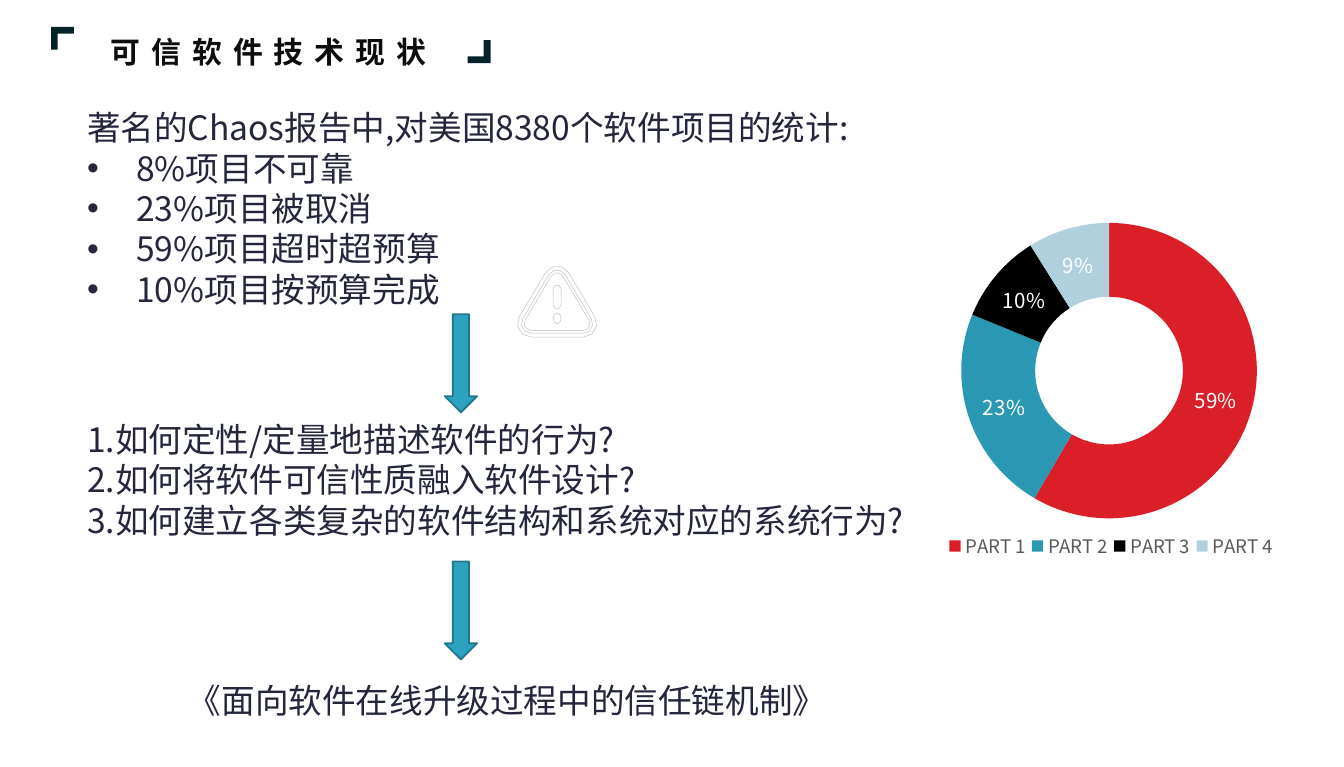
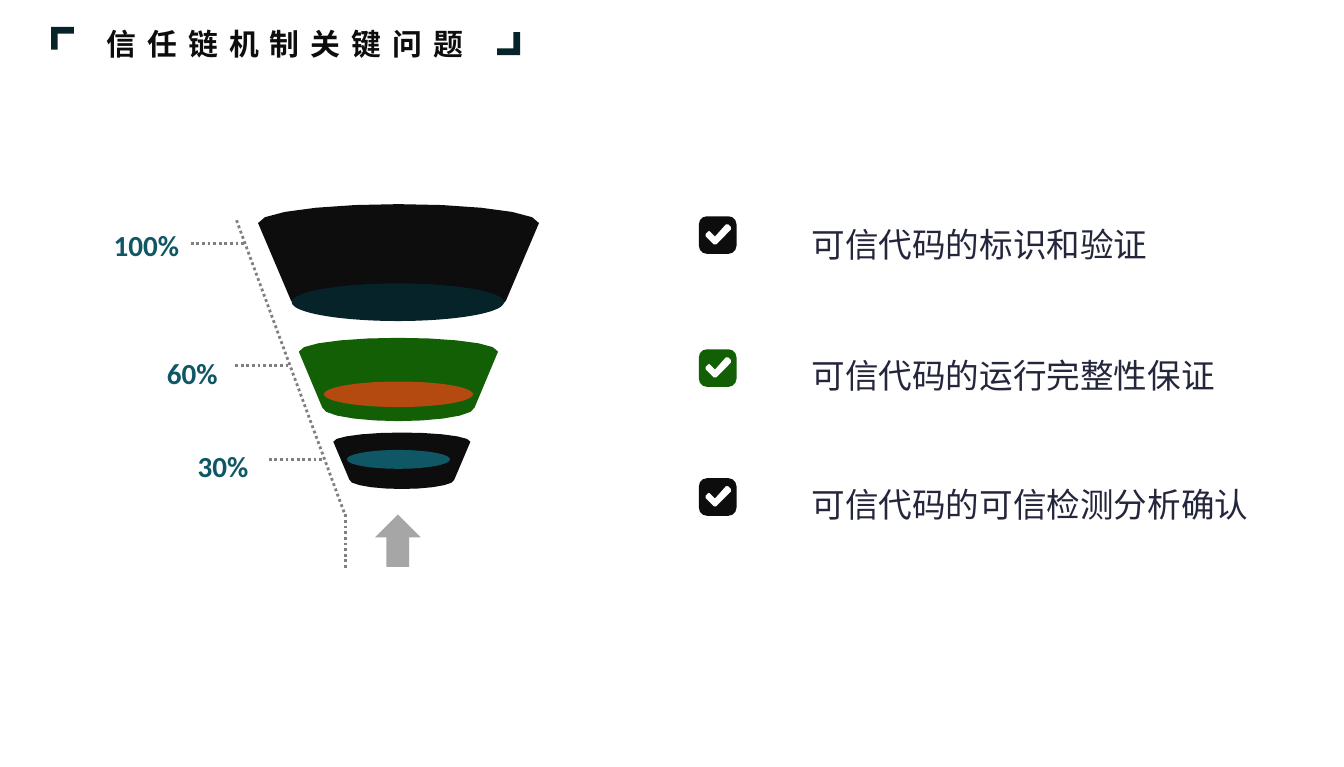
from math import cos, radians, sin

from lxml import etree
from pptx import Presentation
from pptx.chart.data import CategoryChartData
from pptx.dml.color import RGBColor
from pptx.enum.chart import XL_CHART_TYPE, XL_LEGEND_POSITION
from pptx.enum.dml import MSO_LINE
from pptx.enum.shapes import MSO_CONNECTOR, MSO_SHAPE
from pptx.enum.text import MSO_ANCHOR, MSO_AUTO_SIZE, PP_ALIGN
from pptx.oxml.ns import qn
from pptx.util import Inches, Pt

DOUGHNUT = XL_CHART_TYPE.DOUGHNUT
LEGEND_BOTTOM = XL_LEGEND_POSITION.BOTTOM
DOTTED = MSO_LINE.ROUND_DOT
STRAIGHT = MSO_CONNECTOR.STRAIGHT
DOWN_ARROW, UP_ARROW, ELLIPSE = MSO_SHAPE.DOWN_ARROW, MSO_SHAPE.UP_ARROW, MSO_SHAPE.OVAL
TOP = MSO_ANCHOR.TOP
NO_AUTOFIT = MSO_AUTO_SIZE.NONE
LEFT, CENTER = PP_ALIGN.LEFT, PP_ALIGN.CENTER

CJK_FONT, LATIN_FONT, CHART_FONT = "Noto Sans CJK JP", "Calibri", "Noto Sans CJK SC"
BLACK, INK, DARK_TEAL, TEAL = "0D0D0D", "24263C", "062329", "105766"
GREEN, ORANGE, WHITE, PALE_GREY = "125F05", "B54A10", "FFFFFF", "BFBFBF"
ARROW_BLUE, ARROW_EDGE, GREY, DOT_GREY = "2DA2BF", "21788D", "A6A6A6", "808080"

BRACKET = [(0, 0), (0.17, 0), (0.17, 0.05), (0.05, 0.05), (0.05, 0.17), (0, 0.17)]
TICK = [(0.24, 0.1), (0.24, 0.08), (0.22, 0.06), (0.2, 0.06), (0.12, 0.15), (0.08, 0.11),
        (0.07, 0.11), (0.05, 0.13), (0.05, 0.15), (0.11, 0.21), (0.13, 0.21)]


def color(value):
    return RGBColor.from_string(value)


def arc(x, y, radius_x, radius_y, start, end, steps):
    """Points from one angle to another, in degrees clockwise from the right."""
    angles = [radians(start + (end - start) * step / steps) for step in range(steps + 1)]
    return [(x + radius_x * cos(angle), y + radius_y * sin(angle)) for angle in angles]


def rounded_outline(corners, radius):
    """Join arcs of one radius; each corner is centre x, centre y, start and end angle."""
    return [point for x, y, start, end in corners
            for point in arc(x, y, radius, radius, start, end, 3)]


def move(points, x, y, scale=1):
    return [(x + scale * dx, y + scale * dy) for dx, dy in points]


class SlideBuilder:
    def __init__(self):
        self.deck = Presentation()
        self.deck.slide_width, self.deck.slide_height = Inches(10), Inches(5.71)
        self.page = None

    def new_page(self, title, x, y, bracket_end):
        """Add a slide with its title between two corner brackets."""
        self.page = self.deck.slides.add_slide(self.deck.slide_layouts[5])
        box = self.page.shapes.title
        box.left, box.top, box.width, box.height = map(Inches, (x, y, 4.06, 0.37))
        self.fill_text(box.text_frame, [title], 16, BLACK, bold=True, spacing=6)
        self.outline([move(BRACKET, *bracket_end, scale=-1)], DARK_TEAL)
        self.outline([move(BRACKET, 0.38, 0.2)], DARK_TEAL)

    def fill_text(self, frame, lines, size, ink, font=CJK_FONT, bold=False, align=LEFT,
                  wrap=True, spacing=0, line_spacing=None, bullets_from=None):
        frame.word_wrap = wrap
        frame.auto_size = NO_AUTOFIT
        frame.vertical_anchor = TOP
        for index, line in enumerate(lines):
            para = frame.paragraphs[0] if index == 0 else frame.add_paragraph()
            para.alignment = align
            if line_spacing:
                para.line_spacing = line_spacing
            if bullets_from is not None and index >= bullets_from:
                self.add_bullet(para)
            span = para.add_run()
            span.text = line
            span.font.name, span.font.size, span.font.bold = font, Pt(size), bold
            span.font.color.rgb = color(ink)
            properties = span.font._element
            etree.SubElement(properties, qn("a:ea")).set("typeface", font)
            if spacing:
                properties.set("spc", str(spacing * 100))

    def add_bullet(self, para):
        properties = para._p.get_or_add_pPr()
        properties.set("marL", str(Inches(0.31)))
        properties.set("indent", str(-Inches(0.31)))
        etree.SubElement(properties, qn("a:buFont")).set("typeface", "Arial")
        etree.SubElement(properties, qn("a:buChar")).set("char", "•")

    def text(self, place, lines, size=18, ink=INK, **style):
        box = self.page.shapes.add_textbox(*map(Inches, place))
        self.fill_text(box.text_frame, lines, size, ink, **style)

    def paint(self, shape, fill, line=None, width=1):
        shape.shadow.inherit = False
        shape.fill.solid()
        shape.fill.fore_color.rgb = color(fill)
        if line:
            shape.line.color.rgb = color(line)
            shape.line.width = Pt(width)
        else:
            shape.line.fill.background()

    def shape(self, kind, place, fill, line=None):
        self.paint(self.page.shapes.add_shape(kind, *map(Inches, place)), fill, line)

    def outline(self, contours, fill, line=None, width=1):
        """Draw closed contours as one shape; inner contours become holes."""
        builder = None
        for contour in contours:
            points = [(Inches(x), Inches(y)) for x, y in contour]
            if builder is None:
                builder = self.page.shapes.build_freeform(*points[0])
            else:
                builder.move_to(*points[0])
            builder.add_line_segments(points[1:], close=True)
        self.paint(builder.convert_to_shape(), fill, line, width)

    def dotted_line(self, start, end):
        line = self.page.shapes.add_connector(STRAIGHT, *map(Inches, start + end))
        line.line.color.rgb = color(DOT_GREY)
        line.line.width = Pt(1.5)
        line.line.dash_style = DOTTED
        etree.SubElement(line._element.spPr, qn("a:effectLst"))

    def style_font(self, font, size, ink, name=CHART_FONT):
        font.name, font.size = name, Pt(size)
        font.color.rgb = color(ink)

    def doughnut(self, place, values, colors, first_label):
        data = CategoryChartData()
        data.categories = [f"PART {number + 1}" for number in range(len(values))]
        data.add_series("Series 1", values)
        chart = self.page.shapes.add_chart(DOUGHNUT, *map(Inches, place), data).chart
        chart.has_title = False
        self.style_font(chart.font, 10, "000000", LATIN_FONT)
        chart.has_legend = True
        legend = chart.legend
        legend.position = LEGEND_BOTTOM
        legend.include_in_layout = False
        self.style_font(legend.font, 10, "595959")

        plot = chart.plots[0]
        plot.vary_by_categories = True
        series = plot.series[0]
        for index, fill in enumerate(colors):
            part = series.points[index].format
            part.fill.solid()
            part.fill.fore_color.rgb = color(fill)
            part.line.fill.background()
        labels = series.data_labels
        labels.show_percentage, labels.show_value = True, False
        labels.number_format, labels.number_format_is_linked = "0%", False
        self.style_font(labels.font, 11, WHITE)
        span = series.points[0].data_label.text_frame.paragraphs[0].add_run()
        span.text = first_label
        self.style_font(span.font, 11, WHITE)

        plot._element.find(qn("c:holeSize")).set("val", "60")
        self.set_layout(plot._element.getparent(), 0, (0.11, 0.1, 0.8, 0.74), inner=True)
        self.set_layout(legend._element, 1, (0.06, 0.86, 0.91, 0.09))

    def set_layout(self, element, position, fractions, inner=False):
        """Place a chart part by left, top, width and height as fractions of the chart."""
        for old in element.findall(qn("c:layout")):
            element.remove(old)
        layout = etree.Element(qn("c:layout"))
        element.insert(position, layout)
        manual = etree.SubElement(layout, qn("c:manualLayout"))
        settings = [("layoutTarget", "inner")] if inner else []
        settings += [("xMode", "edge"), ("yMode", "edge"), *zip("xywh", fractions)]
        for tag, value in settings:
            etree.SubElement(manual, qn(f"c:{tag}")).set("val", str(value))

    def warning_sign(self, x, top):
        corners = [(x, top + 0.1, 210, 330), (x + 0.195, top + 0.43, -30, 90),
                   (x - 0.195, top + 0.43, 90, 210)]
        rings = [rounded_outline(corners, radius) for radius in (0.1, 0.07, 0.05)]
        bar = rounded_outline([(x, top + 0.17, 180, 360), (x, top + 0.29, 0, 180)], 0.03)
        dot = arc(x, top + 0.39, 0.03, 0.04, 0, 315, 7)
        self.outline(rings + [bar, dot], WHITE, PALE_GREY, 0.25)

    def funnel_tier(self, x, top, radius, height, fill, line=None):
        """Draw a tapering drum whose ellipses scale with its radius."""
        depth = 0.135 * radius
        rim = arc(x, top + depth, radius, depth, 180, 360, 10)
        base = arc(x, top + height - depth, 0.765 * radius, depth, 0, 180, 10)
        self.outline([rim + base], fill, line, 0.75)

    def check_box(self, x, y, fill):
        near, far = 0.06, 0.22
        corners = [(near, near, 180, 270), (far, near, 270, 360),
                   (far, far, 0, 90), (near, far, 90, 180)]
        frame = rounded_outline(corners, near)
        self.outline([move(frame, x, y), move(TICK, x, y)], fill)


def build_status_page(builder):
    builder.new_page("可信软件技术现状", 0.72, 0.2, (3.65, 0.47))
    builder.warning_sign(4.145, 1.98)
    builder.text((0.55, 0.75, 6.47, 2.22),
                 ["著名的Chaos报告中,对美国8380个软件项目的统计:", " 8%项目不可靠",
                  " 23%项目被取消", " 59%项目超时超预算", " 10%项目按预算完成"],
                 bullets_from=1)
    builder.doughnut((6.85, 1.35, 2.75, 3), (59, 23, 10, 9),
                     ("DA1F28", "2A98B3", "000000", "B1D0DD"), "59%")
    builder.text((0.55, 3.07, 6.92, 1.01),
                 ["1.如何定性/定量地描述软件的行为?", "2.如何将软件可信性质融入软件设计?",
                  "3.如何建立各类复杂的软件结构和系统对应的系统行为?"])
    builder.text((1.3, 5.01, 4.95, 0.4), ["《面向软件在线升级过程中的信任链机制》"], wrap=False)
    for top in (2.34, 4.18):
        builder.shape(DOWN_ARROW, (3.31, top, 0.24, 0.73), ARROW_BLUE, ARROW_EDGE)


def build_questions_page(builder):
    builder.new_page("信任链机制关键问题", 0.69, 0.14, (3.87, 0.41))

    tiers = [((2.965, 1.52, 1.045, 0.86, BLACK), (2.17, 2.11, 1.58, 0.28), DARK_TEAL),
             ((2.965, 2.52, 0.735, 0.61, GREEN, GREEN), (2.41, 2.84, 1.11, 0.19), ORANGE),
             ((2.99, 3.22, 0.51, 0.42, BLACK), (2.58, 3.35, 0.77, 0.14), TEAL)]
    for drum, opening, fill in tiers:
        builder.funnel_tier(*drum)
        builder.shape(ELLIPSE, opening, fill)

    builder.dotted_line((2.57, 3.83), (2.57, 4.23))
    builder.dotted_line((1.76, 1.64), (2.57, 3.84))
    levels = [("100%", 0.85, 1.64, 1.42, 1.81), ("60%", 1.19, 2.6, 1.75, 2.72),
              ("30%", 1.42, 3.29, 2, 3.42)]
    for label, left, top, line_left, line_y in levels:
        builder.dotted_line((line_left, line_y), (line_left + 0.41, line_y))
        builder.text((left, top, 0.48, 0.39), [label], 15.6, TEAL, font=LATIN_FONT,
                     bold=True, align=CENTER, wrap=False)
    builder.shape(UP_ARROW, (2.79, 3.83, 0.34, 0.39), GREY)

    questions = [("可信代码的标识和验证", 1.61, 1.47, 2.97, BLACK),
                 ("可信代码的运行完整性保证", 2.6, 2.44, 3.62, GREEN),
                 ("可信代码的可信检测分析确认", 3.56, 3.4, 3.93, BLACK)]
    for question, check_top, text_top, width, fill in questions:
        builder.check_box(5.2, check_top, fill)
        builder.text((5.94, text_top, width, 0.55), [question], line_spacing=1.5)


def main():
    builder = SlideBuilder()
    build_status_page(builder)
    build_questions_page(builder)
    builder.deck.save("out.pptx")


if __name__ == "__main__":
    main()
